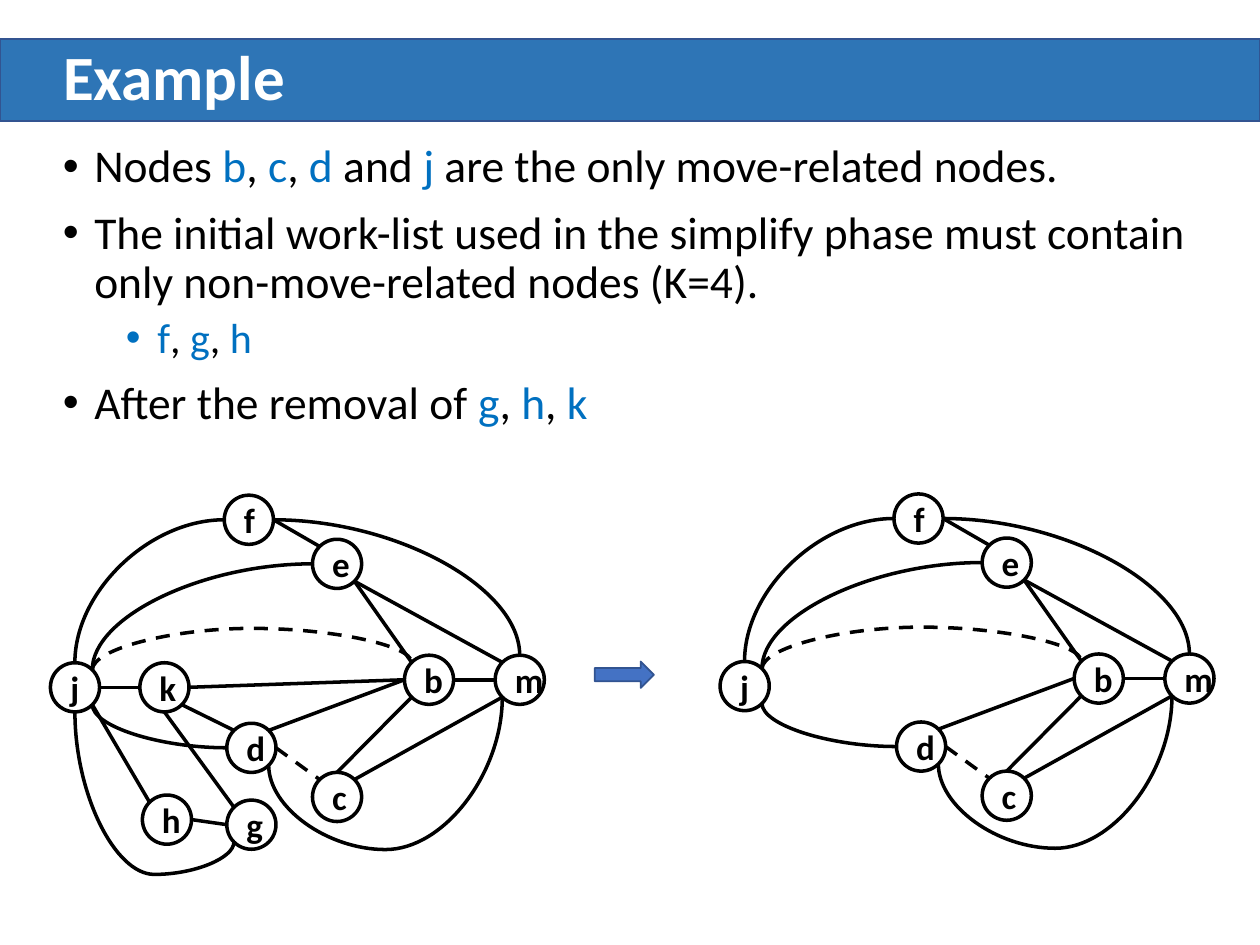
import math

import pptx
import pptx.dml.color
import pptx.enum.dml
import pptx.enum.shapes
import pptx.enum.text
import pptx.oxml.ns
import pptx.util
from lxml import etree

SHAPE = pptx.enum.shapes.MSO_SHAPE
LINK = pptx.enum.shapes.MSO_CONNECTOR
ALIGN = pptx.enum.text.PP_ALIGN
MIDDLE = pptx.enum.text.MSO_ANCHOR.MIDDLE
qn = pptx.oxml.ns.qn

COLS, ROWS = 100, 75
NODES = {
    "m": (41.25, 53.95), "f": (19.75, 41.25), "e": (26.75, 44.75),
    "b": (34.05, 53.95), "c": (26.75, 63.25), "d": (19.95, 59.35),
    "k": (13.05, 54.55), "j": (5.95, 54.55), "h": (13.25, 65.05),
    "g": (19.95, 65.45),
}
HOOKS = "f2j0 f6m0 j7e2 j5d2".split()
BOWS = {"j4g3": 12.9, "d5m3": 6.7}
LINES = ("d7b2 c7m3 c0b3 k5d1 j6k2 k6b2 e5b1 f6e1 "
         "e5m1 h6g2 j5h1 k4g1 b6m2").split()
POINTS = [
    (0, "Nodes *b*, *c*, *d* and *j* are the only move-related nodes."),
    (0, "The initial work-list used in the simplify phase must contain "
        "only non-move-related nodes (K=4)."),
    (1, "*f*, *g*, *h*"),
    (0, "After the removal of *g*, *h*, *k*"),
]


def tint(code):
    return pptx.dml.color.RGBColor.from_string(code)


def apply(item, **form):
    for name, value in form.items():
        setattr(item, name, value)


class Deck:
    face = "Calibri"
    ink, blue, white = "000000", "0070C0", "FFFFFF"
    size = 3.9

    def __init__(self):
        self.file = pptx.Presentation()
        apply(self.file, slide_width=pptx.util.Inches(10),
              slide_height=pptx.util.Inches(7.5))
        self.slide = self.file.slides.add_slide(self.file.slide_layouts[5])
        self.shapes = self.slide.shapes

    def x(self, cols):
        return round(self.file.slide_width * cols / COLS)

    def y(self, rows):
        return round(self.file.slide_height * rows / ROWS)

    def box(self, left, top, width, height):
        return self.x(left), self.y(top), self.x(width), self.y(height)

    def label(self, para, text, size, color, bold=False):
        run = para.add_run()
        run.text = text
        apply(run.font, name=self.face, size=pptx.util.Pt(size), bold=bold)
        run.font.color.rgb = tint(color)

    def shape(self, kind, box, fill, edge, weight):
        item = self.shapes.add_shape(kind, *self.box(*box))
        item.shadow.inherit = False
        item.fill.solid()
        item.fill.fore_color.rgb = tint(fill)
        item.line.color.rgb = tint(edge)
        item.line.width = pptx.util.Pt(weight)
        return item

    def title(self, text, box):
        item = self.slide.shapes.title
        item._element.getparent().append(item._element)
        apply(item, **dict(zip(("left", "top", "width", "height"),
                               self.box(*box))))
        apply(item.text_frame, vertical_anchor=MIDDLE, word_wrap=True)
        para = item.text_frame.paragraphs[0]
        apply(para, alignment=ALIGN.LEFT, line_spacing=0.9)
        self.label(para, text, 36, self.white, True)

    def bullets(self, points, box):
        frame = self.shapes.add_textbox(*self.box(*box)).text_frame
        frame.word_wrap = True
        for i, (level, text) in enumerate(points):
            para = frame.add_paragraph() if i else frame.paragraphs[0]
            props = para._p.get_or_add_pPr()
            props.set("marL", str(pptx.util.Inches(0.25 + 0.5 * level)))
            props.set("indent", str(-pptx.util.Inches(0.25)))
            etree.SubElement(props, qn("a:buFont")).set("typeface", "Arial")
            etree.SubElement(props, qn("a:buChar")).set("char", "•")
            apply(para, level=level, line_spacing=0.9,
                  space_before=pptx.util.Pt((10 - 5 * level) if i else 0))
            for n, part in enumerate(text.split("*")):
                if part:
                    self.label(para, part, 26 - 2 * level,
                               self.blue if n % 2 else self.ink)

    def node(self, name, spot):
        half = self.size / 2
        item = self.shape(SHAPE.OVAL, (spot[0] - half, spot[1] - half,
                                       self.size, self.size),
                          self.white, self.ink, 2)
        item.text_frame.vertical_anchor = MIDDLE
        para = item.text_frame.paragraphs[0]
        para.alignment = ALIGN.CENTER
        self.label(para, name, 20, self.ink, True)
        return item

    def port(self, spot, site):
        turn = math.radians(45 * site)
        return (spot[0] - self.size / 2 * math.sin(turn),
                spot[1] - self.size / 2 * math.cos(turn))

    def edge(self, ends, kind=LINK.STRAIGHT, bulge=None, dash=False):
        (one, site), (two, goal) = ends
        x1, y1 = self.port(self.spots[one], site)
        x2, y2 = self.port(self.spots[two], goal)
        item = self.shapes.add_connector(kind, self.x(x1), self.y(y1),
                                         self.x(x2), self.y(y2))
        item.line.color.rgb = tint(self.ink)
        item.line.width = pptx.util.Pt(2)
        if dash:
            item.line.dash_style = pptx.enum.dml.MSO_LINE.DASH
        props = item._element.spPr
        etree.SubElement(props, qn("a:effectLst"))
        joints = item._element.nvCxnSpPr.cNvCxnSpPr
        for tag, name, at in (("a:stCxn", one, site), ("a:endCxn", two, goal)):
            joint = etree.SubElement(joints, qn(tag))
            joint.set("id", str(self.nodes[name].shape_id))
            joint.set("idx", str(at))
        if kind == LINK.CURVE:
            self.bend(item, (x1, y1), (x2, y2), site not in (2, 6), bulge)

    def bend(self, item, start, end, upright, bulge):
        props = item._element.spPr
        shape = props.find(qn("a:prstGeom"))
        if bulge is None:
            shape.set("prst", "curvedConnector2")
        else:
            guides = shape.find(qn("a:avLst"))
            if guides is None:
                guides = etree.SubElement(shape, qn("a:avLst"))
            guide = etree.SubElement(guides, qn("a:gd"))
            ratio = bulge / (end[1] - start[1])
            guide.set("name", "adj1")
            guide.set("fmla", f"val {round(ratio * 100000)}")
        if upright:
            rising = end[1] < start[1]
            wide, tall = abs(end[1] - start[1]), abs(end[0] - start[0])
            box = self.box((start[0] + end[0] - wide) / 2,
                           (start[1] + end[1] - tall) / 2, wide, tall)
            apply(item, **dict(zip(("left", "top", "width", "height"), box)))
            form = props.find(qn("a:xfrm"))
            form.set("rot", str((90 if rising else 270) * 60000))
            form.set("flipH", "1")
            form.set("flipV", "1" if rising else "0")

    def graph(self, names, shift=(0, 0)):
        self.shapes = self.slide.shapes.add_group_shape().shapes
        self.spots = {name: (x + shift[0], y + shift[1])
                      for name, (x, y) in NODES.items() if name in names}
        self.nodes = {name: self.node(name, spot)
                      for name, spot in self.spots.items()}
        edges = [(code, LINK.CURVE, None, False) for code in HOOKS]
        edges += [(code, LINK.CURVE, rise, False)
                  for code, rise in BOWS.items()]
        edges += [(code, LINK.STRAIGHT, None, False) for code in LINES]
        edges += [("j7b1", LINK.CURVE, -3.3, True),
                  ("d6c1", LINK.STRAIGHT, None, True)]
        for code, *style in edges:
            if code[0] in names and code[2] in names:
                ends = (code[0], int(code[1])), (code[2], int(code[3]))
                self.edge(ends, *style)
        self.shapes = self.slide.shapes


def main():
    deck = Deck()
    deck.shape(SHAPE.RECTANGLE, (0, 3.1, 100, 6.5), "2E75B6", "325491", 1)
    deck.title("Example", (4, 3.1, 92.4, 6.5))
    deck.bullets(POINTS, (4, 10.9, 92.4, 27.2))
    deck.graph("mfebcdkjhg")
    deck.shape(SHAPE.RIGHT_ARROW, (47.2, 52.5, 4.7, 2.1),
               "4472C4", "325491", 1)
    deck.graph("mfebcdj", (53.15, -0.1))
    deck.file.save("out.pptx")


if __name__ == "__main__":
    main()
